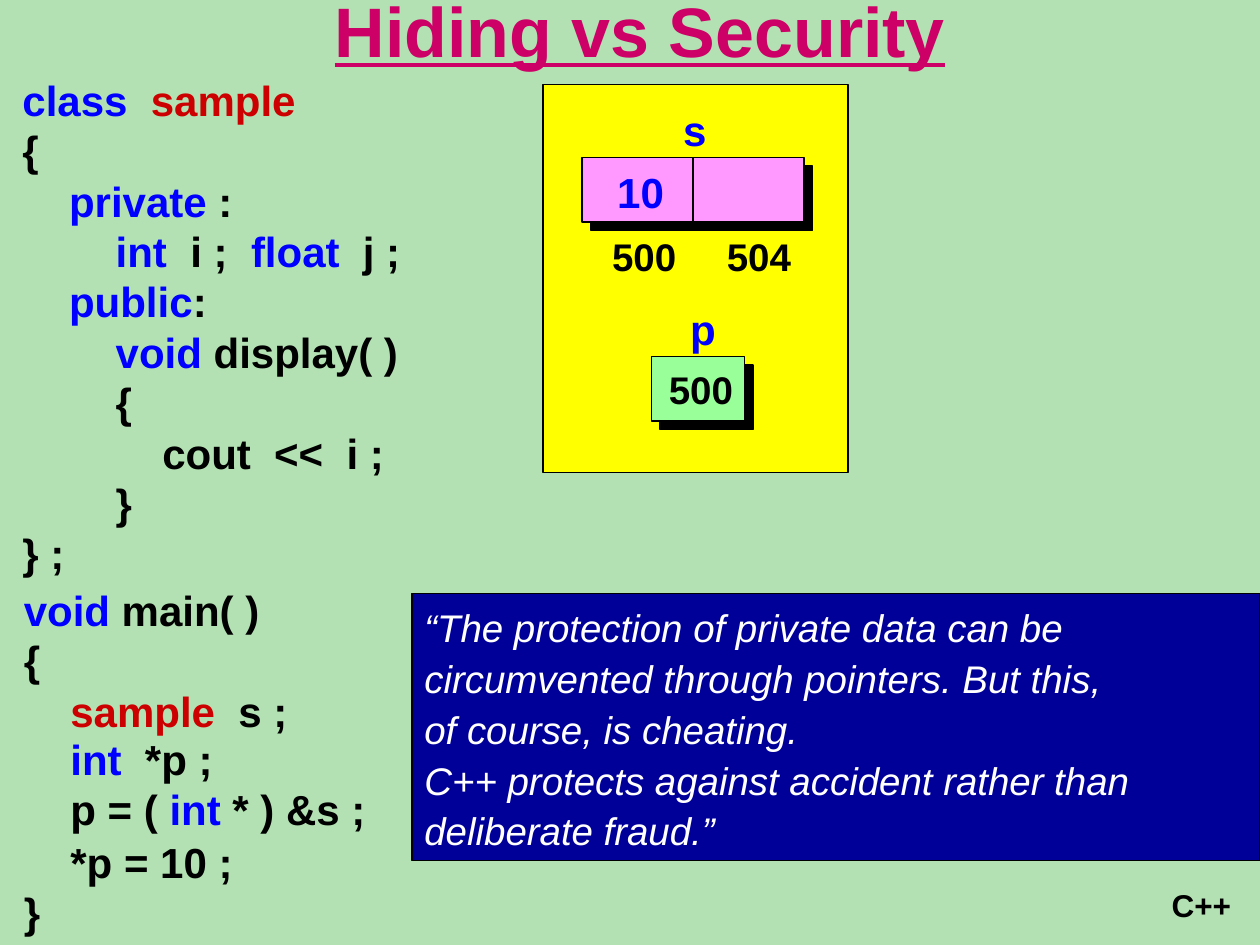
"""Build the 'Hiding vs Security' slide with its code, memory boxes and quotation."""
from lxml import etree
from pptx import Presentation
from pptx import util as u
from pptx.dml.color import RGBColor
from pptx.enum import shapes, text
from pptx.oxml.ns import qn

COLORS = {
    "background": "B3E1B3", "title": "CC0066", "keyword": "0000FF",
    "type": "CC0000", "black": "000000", "white": "FFFFFF",
    "memory": "FFFF00", "member": "FF99FF", "pointer": "99FF99",
    "quote": "000099",
}
KEYWORDS = {"class  ", "private", "public", "int", "float", "void"}
CLASS_CODE = [
    "class  |sample", "{", "\t|private| :", "\t\t|int|  i ;  |float|  j ;",
    "\t|public|:", "\t\t|void| display( )", "\t\t{", "\t\t\tcout  <<  i ;",
    "\t\t}", "} ;",
]
MAIN_CODE = ["void| main( )", "{", "\t|sample|  s ;"]
POINTER_CODE = ["\t|int|  *p ;", "\tp = ( |int| * ) &s ;"]
ASSIGN_CODE = ["\t*p = 10 ;", "}"]
QUOTE = [
    "“The protection of private data can be\vcircumvented through pointers. But this,",
    "of course, is cheating.",
    "C++ protects against accident rather than deliberate fraud.”",
]


def rgb(name):
    return RGBColor.from_string(COLORS[name])


def place(x, y, w, h):
    return [u.Inches(v) for v in (x, y, w, h)]


def set_font(p, size, color="black", bold=True):
    p.font.name = "Arial"
    p.font.size = u.Pt(size)
    p.font.bold = bold
    p.font.color.rgb = rgb(color)


def add_tabs(p, step=0.37, count=8):
    tabs = etree.SubElement(p._p.get_or_add_pPr(), qn("a:tabLst"))
    for i in range(count):
        etree.SubElement(tabs, qn("a:tab"), pos=str(u.Inches(i * step)), algn="l")


def add_shadow(sp):
    effects = etree.SubElement(sp._element.spPr, qn("a:effectLst"))
    shadow = etree.SubElement(effects, qn("a:outerShdw"), dist=str(u.Pt(7.1)),
                              dir="2700000", algn="ctr", rotWithShape="0")
    etree.SubElement(shadow, qn("a:srgbClr"), val=COLORS["black"])


def add_box(parent, at, fill, line=1, shadow=True):
    sp = parent.shapes.add_shape(shapes.MSO_SHAPE.RECTANGLE, *place(*at))
    sp.fill.solid()
    sp.fill.fore_color.rgb = rgb(fill)
    sp.line.color.rgb = rgb("black")
    sp.line.width = u.Pt(line)
    if shadow:
        add_shadow(sp)
    else:
        sp.shadow.inherit = False
    return sp


def add_label(parent, at, words, size, color="black", spacing=None):
    tf = parent.shapes.add_textbox(*place(*at)).text_frame
    tf.word_wrap = False
    p = tf.paragraphs[0]
    p.text = words
    p.line_spacing = spacing
    set_font(p, size, color)
    return p


def add_code(s, at, lines):
    tf = s.shapes.add_textbox(*place(*at)).text_frame
    tf.word_wrap = True
    for i, line in enumerate(lines):
        p = tf.add_paragraph() if i else tf.paragraphs[0]
        add_tabs(p)
        set_font(p, 24)
        for part in line.split("|"):
            r = p.add_run()
            r.text = part
            if part in KEYWORDS:
                r.font.color.rgb = rgb("keyword")
            elif part == "sample":
                r.font.color.rgb = rgb("type")


def add_title(s):
    p = add_label(s, (0.83, -0.39, 8.5, 1.25), "Hiding vs Security", 40, "title")
    p.alignment = text.PP_ALIGN.CENTER
    p.font.underline = True
    tf = s.shapes[-1].text_frame
    tf.word_wrap = True
    tf.vertical_anchor = text.MSO_ANCHOR.MIDDLE


def add_object(s):
    group = s.shapes.add_group_shape()
    add_box(group, (4.31, 0.67, 2.42, 3.08), "memory", 0.75, shadow=False)
    for i in range(2):
        add_box(group, (4.62 + i * 0.88, 1.25, 0.88, 0.51), "member")
    add_label(group, (5.23, 0.78, 0.48, 0.5), " s", 24, "keyword")
    for x, address in ((4.76, "500"), (5.67, "504")):
        add_label(group, (x, 1.84, 0.71, 0.43), address, 22, spacing=0.9)


def add_pointer(s):
    group = s.shapes.add_group_shape()
    add_box(group, (5.17, 2.83, 0.74, 0.51), "pointer")
    add_label(group, (5.38, 2.36, 0.4, 0.5), "p", 24, "keyword")
    add_label(group, (5.21, 2.9, 0.71, 0.43), "500", 22, spacing=0.9)


def add_quote(s):
    sp = add_box(s, (3.27, 4.71, 6.73, 2.12), "quote", 0.75, shadow=False)
    tf = sp.text_frame
    tf.word_wrap = True
    tf.margin_right = 0
    tf.vertical_anchor = text.MSO_ANCHOR.TOP
    for i, words in enumerate(QUOTE):
        p = tf.add_paragraph() if i else tf.paragraphs[0]
        p.text = words
        p.alignment = text.PP_ALIGN.LEFT
        p.line_spacing = 1.1
        set_font(p, 22, "white", bold=False)
        p.font.italic = True


def main():
    prs = Presentation()
    prs.slide_width, prs.slide_height = u.Inches(10), u.Inches(7.5)
    s = prs.slides.add_slide(prs.slide_layouts[6])
    s.background.fill.solid()
    s.background.fill.fore_color.rgb = rgb("background")
    add_object(s)
    add_title(s)
    add_code(s, (0.08, 0.54, 3.31, 1.79), CLASS_CODE)
    add_code(s, (0.09, 5.77, 5.65, 1.26), POINTER_CODE)
    add_pointer(s)
    add_code(s, (0.09, 4.59, 5.65, 1.62), MAIN_CODE)
    add_label(s, (4.8, 1.27, 0.75, 0.58), "10", 24, "keyword")
    add_code(s, (0.09, 6.59, 5.65, 2.6), ASSIGN_CODE)
    add_quote(s)
    add_label(s, (9.2, 6.98, 0.67, 0.4), "C++", 18)
    prs.save("out.pptx")


if __name__ == "__main__":
    main()
